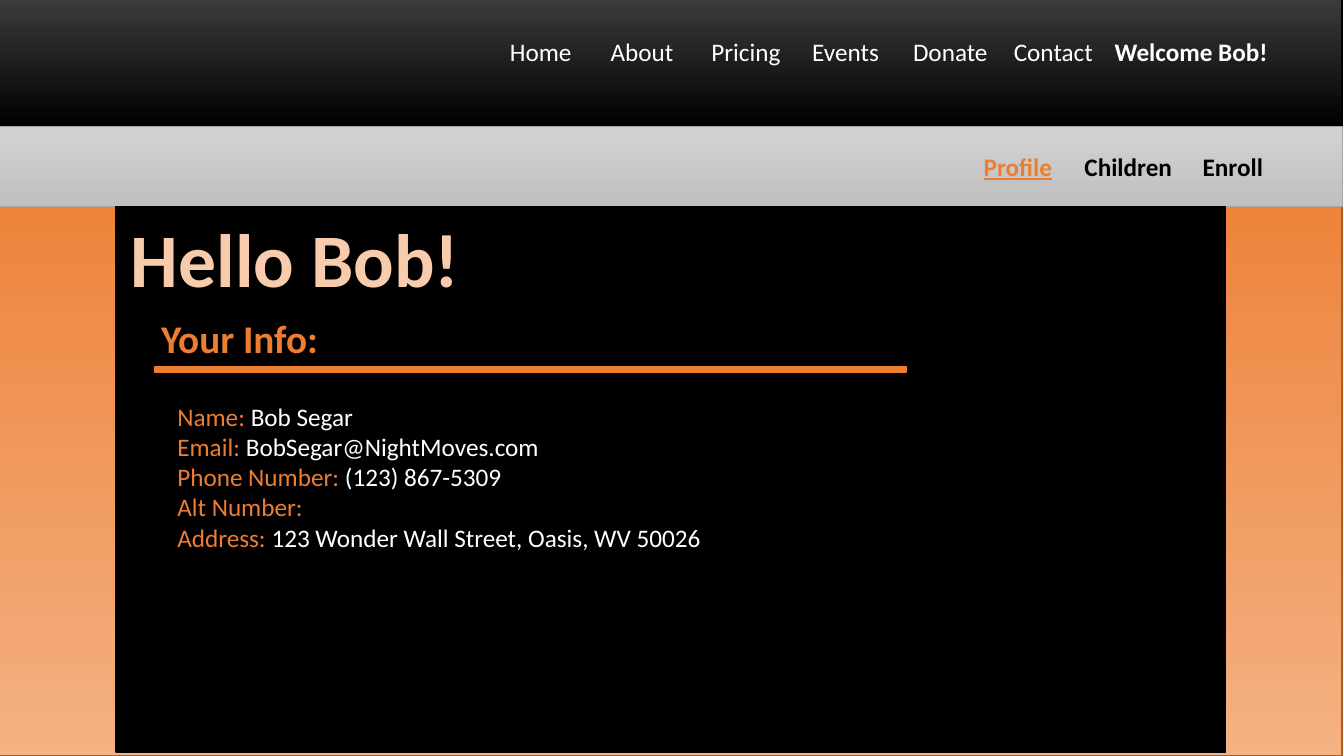
"""Build the profile page slide with its menus, greeting and contact details."""
from dataclasses import dataclass

from lxml import etree
from pptx import Presentation
from pptx.dml.color import RGBColor
from pptx.enum.shapes import MSO_SHAPE
from pptx.enum.text import MSO_ANCHOR, PP_ALIGN
from pptx.oxml.ns import qn
from pptx.util import Cm, Pt

RECT = MSO_SHAPE.RECTANGLE
MIDDLE = MSO_ANCHOR.MIDDLE
LEFT, CENTER = PP_ALIGN.LEFT, PP_ALIGN.CENTER

BLACK = RGBColor(0x00, 0x00, 0x00)
WHITE = RGBColor(0xFF, 0xFF, 0xFF)
CHAR = RGBColor(0x40, 0x40, 0x40)
ORANGE = RGBColor(0xED, 0x7D, 0x31)
RUST = RGBColor(0xAF, 0x5C, 0x24)
PEACH = RGBColor(0xF4, 0xB1, 0x83)
CREAM = RGBColor(0xF8, 0xCB, 0xAD)
PALE = RGBColor(0xD2, 0xD2, 0xD2)
SILVER = RGBColor(0xC0, 0xC0, 0xC0)
GRAY = RGBColor(0xA5, 0xA5, 0xA5)

FONT = "Calibri"
WIDE, HIGH = 33.87, 19.05
EDGE = -0.05


@dataclass
class Panel:
    left: float
    top: float
    width: float
    height: float
    fills: tuple
    line: RGBColor
    weight: float = 1


@dataclass
class Part:
    text: str
    color: RGBColor
    bold: bool = False
    under: bool = False


@dataclass
class Label:
    left: float
    top: float
    width: float
    height: float
    size: float
    lines: list
    align: PP_ALIGN = LEFT
    wrap: bool = True


PAGE = Panel(EDGE, 3.18, WIDE, 15.87, (ORANGE, PEACH), RUST)
HEAD = Panel(EDGE, -0.25, WIDE, 3.43, (CHAR, BLACK), BLACK)
BAND = Panel(EDGE, 3.18, WIDE, 2.03, (PALE, SILVER), GRAY, 0.5)
BODY = Panel(2.92, 5.21, 27.97, 13.74, (BLACK,), BLACK)
RULE = Panel(3.89, 9.25, 18.95, 0.13, (ORANGE,), ORANGE)

MENU = ["Home", "About", "Pricing", "Events", "Donate", "Contact"]
TABS = [Part("Profile", ORANGE, True, True),
        Part("\tChildren\tEnroll", BLACK, True)]
STOPS = (2.54, 5.52)
INFO = [
    ("Name:", "Bob Segar"),
    ("Email:", "BobSegar@NightMoves.com"),
    ("Phone Number:", "(123) 867-5309"),
    ("Alt Number:", ""),
    ("Address:", "123 Wonder Wall Street, Oasis, WV 50026"),
]
LABELS = [
    Label(12.6, 0.79, 20.68, 1.02, 18,
          [[Part("\t".join(MENU) + "\t", WHITE),
            Part("Welcome Bob!", WHITE, True)]]),
    Label(3, 5.21, 8.89, 2.57, 54,
          [[Part("Hello Bob!", CREAM, True)]], CENTER, False),
    Label(3.81, 7.8, 8.74, 1.45, 28, [[Part("Your Info:", ORANGE, True)]]),
    Label(4.22, 9.98, 15.42, 4.88, 18,
          [[Part(f"{key} ", ORANGE), Part(val, WHITE)] if val
           else [Part(key, ORANGE)] for key, val in INFO]),
]


def draw_panel(slide, panel: Panel):
    shape = slide.shapes.add_shape(RECT, Cm(panel.left), Cm(panel.top),
                                   Cm(panel.width), Cm(panel.height))
    shape.shadow.inherit = False
    if len(panel.fills) == 1:
        shape.fill.solid()
        shape.fill.fore_color.rgb = panel.fills[0]
    else:
        shape.fill.gradient()
        shape.fill.gradient_angle = 270
        for stop, color in zip(shape.fill.gradient_stops, panel.fills):
            stop.color.rgb = color
    shape.line.color.rgb = panel.line
    shape.line.width = Pt(panel.weight)
    return shape


def write_line(para, parts: list, size: float, align: PP_ALIGN) -> None:
    para.alignment = align
    font = para.font
    font.name, font.size = FONT, Pt(size)
    same = len({(part.color, part.bold, part.under) for part in parts}) == 1
    for part in parts:
        run = para.add_run()
        run.text = part.text
        style = font if same else run.font
        style.color.rgb = part.color
        style.bold = part.bold
        style.underline = part.under


def draw_label(slide, label: Label) -> None:
    box = slide.shapes.add_textbox(Cm(label.left), Cm(label.top),
                                   Cm(label.width), Cm(label.height))
    frame = box.text_frame
    frame.word_wrap = label.wrap
    for i, parts in enumerate(label.lines):
        para = frame.add_paragraph() if i else frame.paragraphs[0]
        write_line(para, parts, label.size, label.align)


def draw_band(slide) -> None:
    frame = draw_panel(slide, BAND).text_frame
    frame.margin_left = Cm(24.84)
    frame.vertical_anchor = MIDDLE
    para = frame.paragraphs[0]
    stops = etree.SubElement(para._p.get_or_add_pPr(), qn("a:tabLst"))
    for pos in STOPS:
        etree.SubElement(stops, qn("a:tab"), pos=str(Cm(pos)), algn="l")
    write_line(para, TABS, 18, LEFT)


def main() -> None:
    deck = Presentation()
    deck.slide_width, deck.slide_height = Cm(WIDE), Cm(HIGH)
    slide = deck.slides.add_slide(deck.slide_layouts[6])
    draw_panel(slide, PAGE)
    draw_panel(slide, HEAD)
    draw_band(slide)
    draw_panel(slide, BODY)
    draw_panel(slide, RULE)
    for label in LABELS:
        draw_label(slide, label)
    deck.save("out.pptx")


if __name__ == "__main__":
    main()
